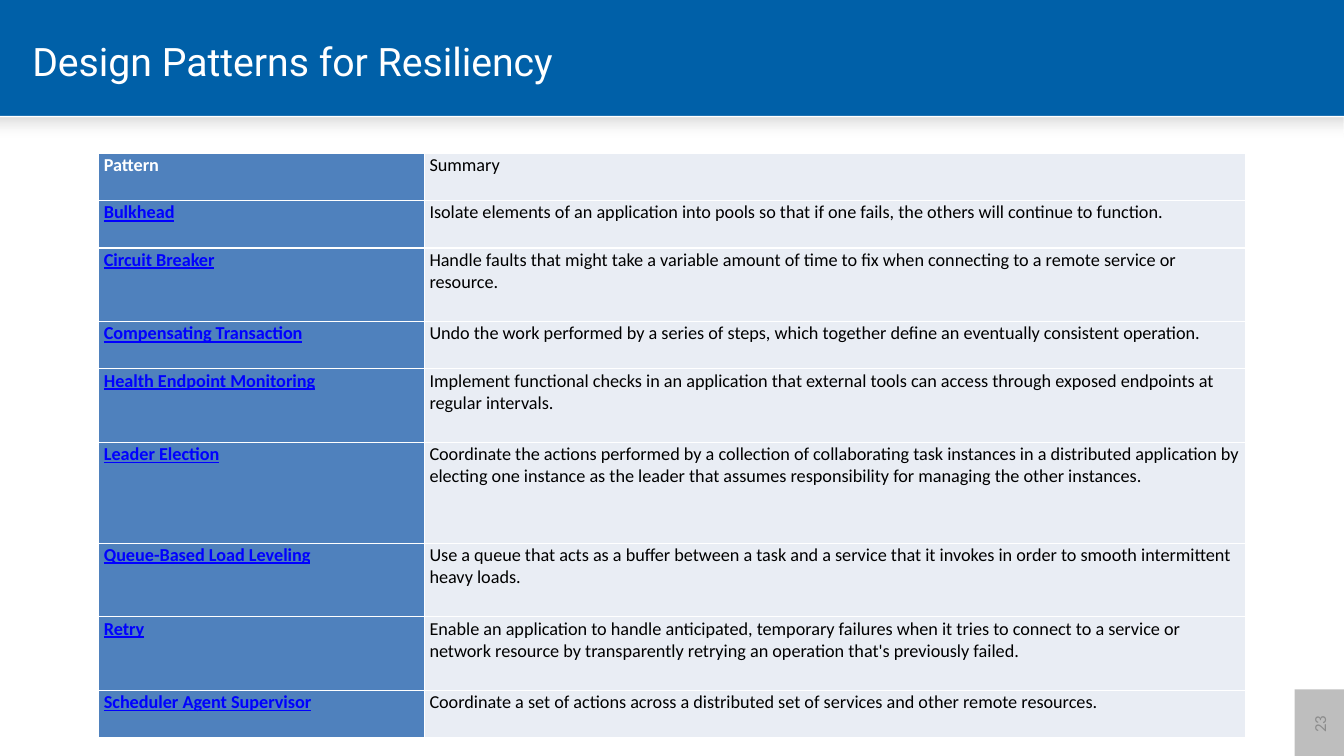
from dataclasses import dataclass

import pptx
import pptx.dml.color
import pptx.enum.shapes
import pptx.enum.text
import pptx.oxml
import pptx.oxml.ns
import pptx.util
from lxml import etree

Inches = pptx.util.Inches
Pt = pptx.util.Pt
qn = pptx.oxml.ns.qn


@dataclass(frozen=True)
class Theme:
    title_font: str = "Roboto"
    body_font: str = "Calibri"
    title_size: int = 28
    table_size: int = 13
    number_size: int = 12
    banner: str = "0060A8"
    white: str = "FFFFFF"
    black: str = "000000"
    link: str = "0000FF"
    name_fill: str = "4F81BD"
    summary_fill: str = "E9EDF4"
    tab_fill: str = "7F7F7F"
    tab_text: str = "8C8C8C"
    # position %, colour, opacity %
    shadow_stops: tuple = ((0, "000000", 13), (48, "E3E3E3", 0), (66, "FFFFFF", 0))


PATTERNS = [
    ("Pattern", "Summary", 0.47),
    ("Bulkhead", "Isolate elements of an application into pools so that if one fails, "
     "the others will continue to function.", 0.47),
    ("Circuit Breaker", "Handle faults that might take a variable amount of time to fix "
     "when connecting to a remote service or resource.", 0.73),
    ("Compensating Transaction", "Undo the work performed by a series of steps, which "
     "together define an eventually consistent operation.", 0.47),
    ("Health Endpoint Monitoring", "Implement functional checks in an application that "
     "external tools can access through exposed endpoints at regular intervals.", 0.73),
    ("Leader Election", "Coordinate the actions performed by a collection of collaborating "
     "task instances in a distributed application by electing one instance as the leader "
     "that assumes responsibility for managing the other instances.", 1),
    ("Queue-Based Load Leveling", "Use a queue that acts as a buffer between a task and a "
     "service that it invokes in order to smooth intermittent heavy loads.", 0.73),
    ("Retry", "Enable an application to handle anticipated, temporary failures when it tries "
     "to connect to a service or network resource by transparently retrying an operation "
     "that's previously failed.", 0.73),
    ("Scheduler Agent Supervisor", "Coordinate a set of actions across a distributed set of "
     "services and other remote resources.", 0.47),
]


def rgb(color):
    return pptx.dml.color.RGBColor.from_string(color)


class SlideBuilder:
    def __init__(self, deck, theme):
        self.theme = theme
        self.page = deck.slides.add_slide(deck.slide_layouts[5])

    def background(self, color):
        fill = self.page.background.fill
        fill.solid()
        fill.fore_color.rgb = rgb(color)

    def span(self, para, text, font, size, color, bold=False, underline=False):
        span = para.add_run()
        span.text = text
        span.font.name = font
        span.font.size = Pt(size)
        span.font.color.rgb = rgb(color)
        span.font.bold = bold
        span.font.underline = underline

    def title(self, text, left, top, width, height):
        box = self.page.shapes.title
        box.left, box.top, box.width, box.height = map(Inches, (left, top, width, height))
        frame = box.text_frame
        frame.auto_size = pptx.enum.text.MSO_AUTO_SIZE.NONE
        frame.vertical_anchor = pptx.enum.text.MSO_ANCHOR.MIDDLE
        para = frame.paragraphs[0]
        para.alignment = pptx.enum.text.PP_ALIGN.LEFT
        self.span(para, text, self.theme.title_font, self.theme.title_size, self.theme.white)

    def rectangle(self, left, top, width, height, color):
        box = self.page.shapes.add_shape(
            pptx.enum.shapes.MSO_SHAPE.RECTANGLE, *map(Inches, (left, top, width, height)))
        box.shadow.inherit = False
        box.line.fill.background()
        box.fill.solid()
        box.fill.fore_color.rgb = rgb(color)
        return box

    def fading_band(self, left, top, width, height):
        """Draw a rectangle that fades downwards through the theme's shadow stops."""
        box = self.rectangle(left, top, width, height, self.theme.white)
        stops = "".join(
            f'<a:gs pos="{pos * 1000}"><a:srgbClr val="{color}">'
            f'<a:alpha val="{opacity * 1000}"/></a:srgbClr></a:gs>'
            for pos, color, opacity in self.theme.shadow_stops)
        gradient = pptx.oxml.parse_xml(
            f'<a:gradFill {pptx.oxml.ns.nsdecls("a")} rotWithShape="1">'
            f'<a:gsLst>{stops}</a:gsLst><a:lin ang="5400000" scaled="0"/></a:gradFill>')
        properties = box.element.spPr
        properties.replace(properties.find(qn("a:solidFill")), gradient)

    def page_number(self, text, left, top, width, height):
        box = self.rectangle(left, top, width, height, self.theme.tab_fill)
        box.rotation = 270
        color = box.element.spPr.find(qn("a:solidFill"))[0]
        etree.SubElement(color, qn("a:alpha"), val="50000")
        box.text_frame.vertical_anchor = pptx.enum.text.MSO_ANCHOR.MIDDLE
        para = box.text_frame.paragraphs[0]
        para.alignment = pptx.enum.text.PP_ALIGN.CENTER
        self.span(para, text, self.theme.body_font, self.theme.number_size, self.theme.tab_text)

    def cell(self, cell, text, fill, color, bold=False, underline=False):
        cell.margin_left = cell.margin_right = Inches(0.05)
        cell.margin_top, cell.margin_bottom = Inches(0.01), Inches(0.1)
        properties = cell._tc.get_or_add_tcPr()
        for side in ("lnL", "lnR", "lnT", "lnB"):
            line = etree.SubElement(properties, qn(f"a:{side}"), w=str(Pt(1)))
            solid = etree.SubElement(line, qn("a:solidFill"))
            etree.SubElement(solid, qn("a:srgbClr"), val=self.theme.white)
        cell.fill.solid()
        cell.fill.fore_color.rgb = rgb(fill)
        self.span(cell.text_frame.paragraphs[0], text, self.theme.body_font,
                  self.theme.table_size, color, bold, underline)

    def pattern_table(self, rows, left, top, column_widths):
        theme = self.theme
        height = sum(row[2] for row in rows)
        table = self.page.shapes.add_table(
            len(rows), 2, Inches(left), Inches(top),
            Inches(sum(column_widths)), Inches(height)).table
        for column, width in zip(table.columns, column_widths):
            column.width = Inches(width)
        for index, (name, summary, row_height) in enumerate(rows):
            table.rows[index].height = Inches(row_height)
            is_pattern = index > 0
            self.cell(table.cell(index, 0), name, theme.name_fill,
                      theme.link if is_pattern else theme.white, True, is_pattern)
            self.cell(table.cell(index, 1), summary, theme.summary_fill, theme.black)


def main():
    deck = pptx.Presentation()
    deck.slide_width, deck.slide_height = Inches(13.33), Inches(7.5)
    theme = Theme()
    slide = SlideBuilder(deck, theme)
    slide.background(theme.banner)
    slide.rectangle(0, 1.15, 13.33, 6.36, theme.white)
    slide.fading_band(0, 1.17, 13.33, 0.42)
    slide.page_number("23", 12.74, 6.94, 0.69, 0.49)
    slide.title("Design Patterns for Resiliency", 0.22, 0.17, 11.35, 0.87)
    slide.pattern_table(PATTERNS, 0.98, 1.52, (3.23, 8.14))
    deck.save("out.pptx")


if __name__ == "__main__":
    main()
